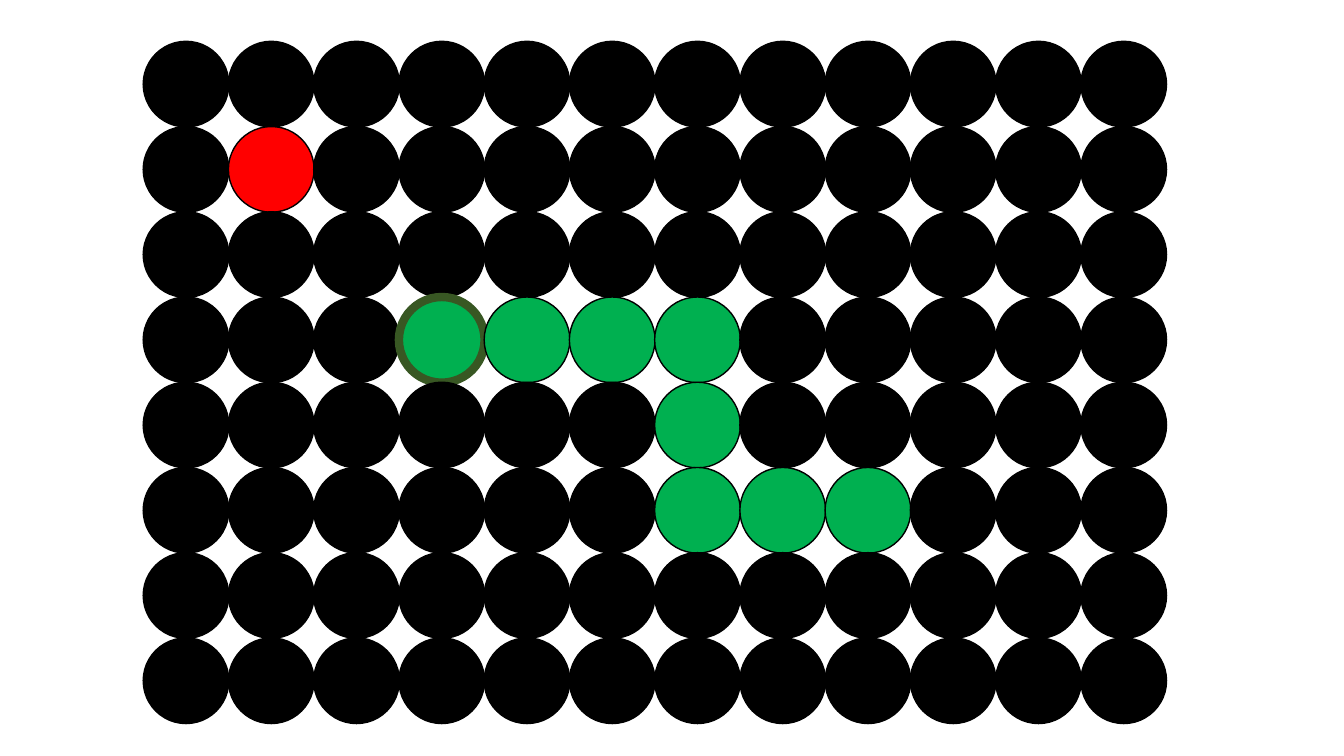
"""Build a slide with a snake game on a grid of round cells."""
from pptx import Presentation
from pptx.dml.color import RGBColor
from pptx.enum import shapes
from pptx.util import Inches, Pt

BLACK = RGBColor(0x00, 0x00, 0x00)
RED = RGBColor(0xFF, 0x00, 0x00)
GREEN = RGBColor(0x00, 0xB0, 0x50)
DARK_GREEN = RGBColor(0x38, 0x57, 0x23)

COLUMNS, ROWS = 12, 8
LEFT, TOP = 1.42, 0.41
PITCH = 9.3 / (COLUMNS - 1)
DIAMETER = 0.85

# Cells are (column, row), counted from the top left; the head comes first.
SNAKE = [(3, 3), (4, 3), (5, 3), (6, 3), (6, 4), (6, 5), (7, 5), (8, 5)]
HEAD = SNAKE[0]
FOOD = (1, 1)


def cell_style(cell):
    """Return the fill, line colour and line width in points of a cell."""
    if cell == HEAD:
        return GREEN, DARK_GREEN, 6
    if cell in SNAKE:
        return GREEN, BLACK, 1
    if cell == FOOD:
        return RED, BLACK, 1
    return BLACK, BLACK, 1


def add_cell(slide, column, row):
    """Draw one round cell of the board."""
    fill, line, width = cell_style((column, row))
    circle = slide.shapes.add_shape(
        shapes.MSO_SHAPE.OVAL,
        Inches(LEFT + column * PITCH), Inches(TOP + row * PITCH),
        Inches(DIAMETER), Inches(DIAMETER))
    circle.shadow.inherit = False
    circle.fill.solid()
    circle.fill.fore_color.rgb = fill
    circle.line.color.rgb = line
    circle.line.width = Pt(width)


def add_board(slide):
    """Draw all the cells, row by row."""
    for row in range(ROWS):
        for column in range(COLUMNS):
            add_cell(slide, column, row)


def main():
    """Create the presentation and save it."""
    presentation = Presentation()
    presentation.slide_width = Inches(13.33)
    presentation.slide_height = Inches(7.5)
    slide = presentation.slides.add_slide(presentation.slide_layouts[6])
    add_board(slide)
    presentation.save("out.pptx")


main()
